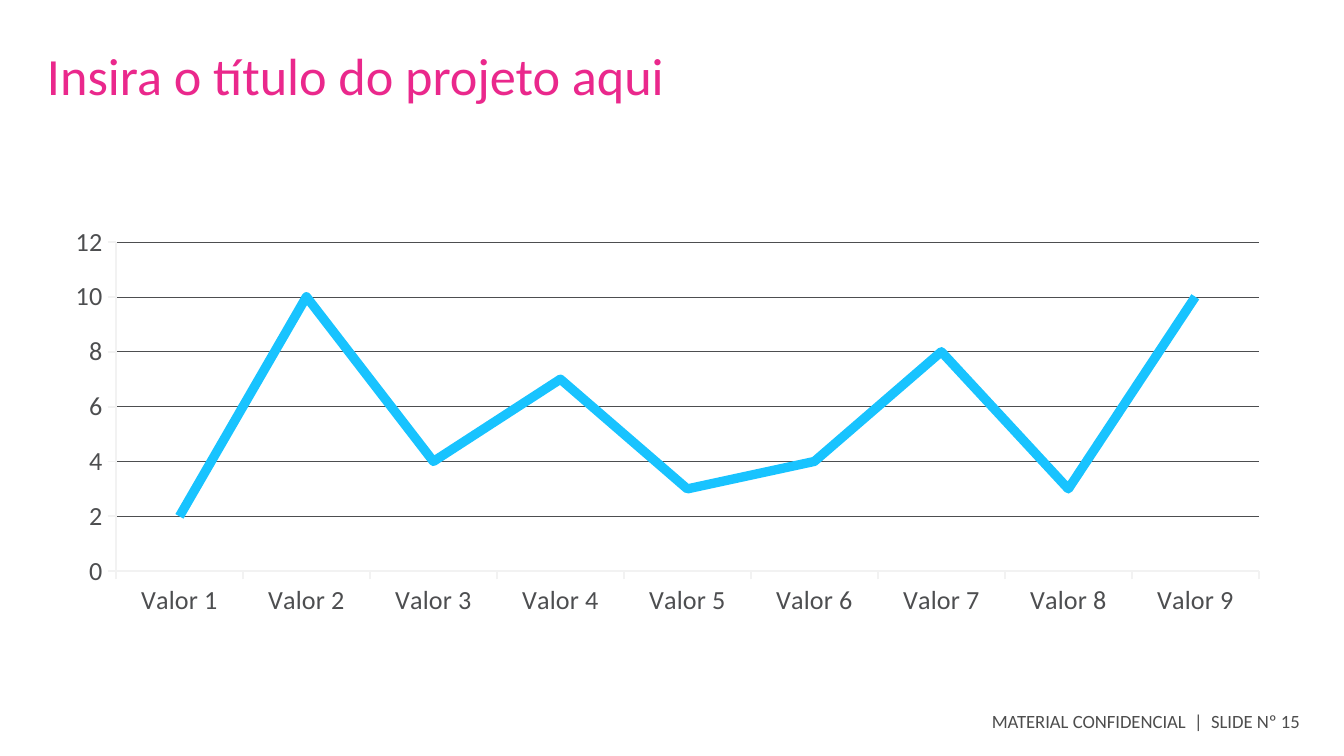
from pptx import Presentation
from pptx.chart.data import CategoryChartData
from pptx.dml.color import RGBColor
from pptx.enum.chart import XL_CHART_TYPE, XL_MARKER_STYLE, XL_TICK_MARK
from pptx.enum.text import MSO_ANCHOR
from pptx.util import Inches, Pt

LINE = XL_CHART_TYPE.LINE
NO_MARKER = XL_MARKER_STYLE.NONE
TICK_OUT = XL_TICK_MARK.OUTSIDE
TOP = MSO_ANCHOR.TOP

TITLE = "Insira o título do projeto aqui"
FOOTER = "MATERIAL CONFIDENCIAL  |  SLIDE Nº 15"
SERIES = "Series 1"
VALUES = [2, 10, 4, 7, 3, 4, 8, 3, 10]
CATEGORIES = [f"Valor {i}" for i in range(1, len(VALUES) + 1)]

THEME = {
    "font": "Calibri",
    "title": ("EA288C", 28),
    "footer": ("4D4E50", 10),
    "axis": ("4D4E50", 14),
    "axis_line": ("F2F2F2", 1),
    "series": ("18C3FF", 5),
    "grid": ("4D4E50", 0.25),
}
THEME["footer"] = ("4D4D4D", 10)


def style_font(font, role):
    color, size = THEME[role]
    font.name = THEME["font"]
    font.size = Pt(size)
    font.bold = False
    font.color.rgb = RGBColor.from_string(color)


def style_line(line, role):
    color, width = THEME[role]
    line.color.rgb = RGBColor.from_string(color)
    line.width = Pt(width)


def add_text(s, text, role, box, spacing=None):
    tf = s.shapes.add_textbox(*map(Inches, box)).text_frame
    tf.margin_left = tf.margin_right = tf.margin_top = tf.margin_bottom = 0
    tf.vertical_anchor = TOP
    tf.word_wrap = True
    tf.text = text
    p = tf.paragraphs[0]
    if spacing:
        p.line_spacing = Pt(spacing)
    style_font(p.runs[0].font, role)


def add_line_chart(s, box):
    data = CategoryChartData()
    data.categories = CATEGORIES
    data.add_series(SERIES, VALUES)
    chart = s.shapes.add_chart(LINE, *map(Inches, box), data).chart
    chart.has_legend = False
    chart.has_title = False
    style_font(chart.font, "axis")
    for axis in (chart.category_axis, chart.value_axis):
        axis.major_tick_mark = TICK_OUT
        style_font(axis.tick_labels.font, "axis")
        style_line(axis.format.line, "axis_line")
    axis = chart.value_axis
    axis.minimum_scale, axis.maximum_scale, axis.major_unit = 0, 12, 2
    axis.has_major_gridlines = True
    style_line(axis.major_gridlines.format.line, "grid")
    plot = chart.plots[0]
    plot.vary_by_categories = False
    series = plot.series[0]
    series.smooth = False
    series.marker.style = NO_MARKER
    style_line(series.format.line, "series")


def main():
    """Build the line chart slide."""
    prs = Presentation()
    prs.slide_width = Inches(10)
    prs.slide_height = prs.slide_width * 9 // 16
    s = prs.slides.add_slide(prs.slide_layouts[6])
    add_line_chart(s, (0.38, 1.62, 9.17, 3.03))
    add_text(s, TITLE, "title", (0.35, 0.29, 4.84, 1.03), spacing=36)
    add_text(s, FOOTER, "footer", (7.38, 5.28, 2.42, 0.19))
    prs.save("out.pptx")


if __name__ == "__main__":
    main()
